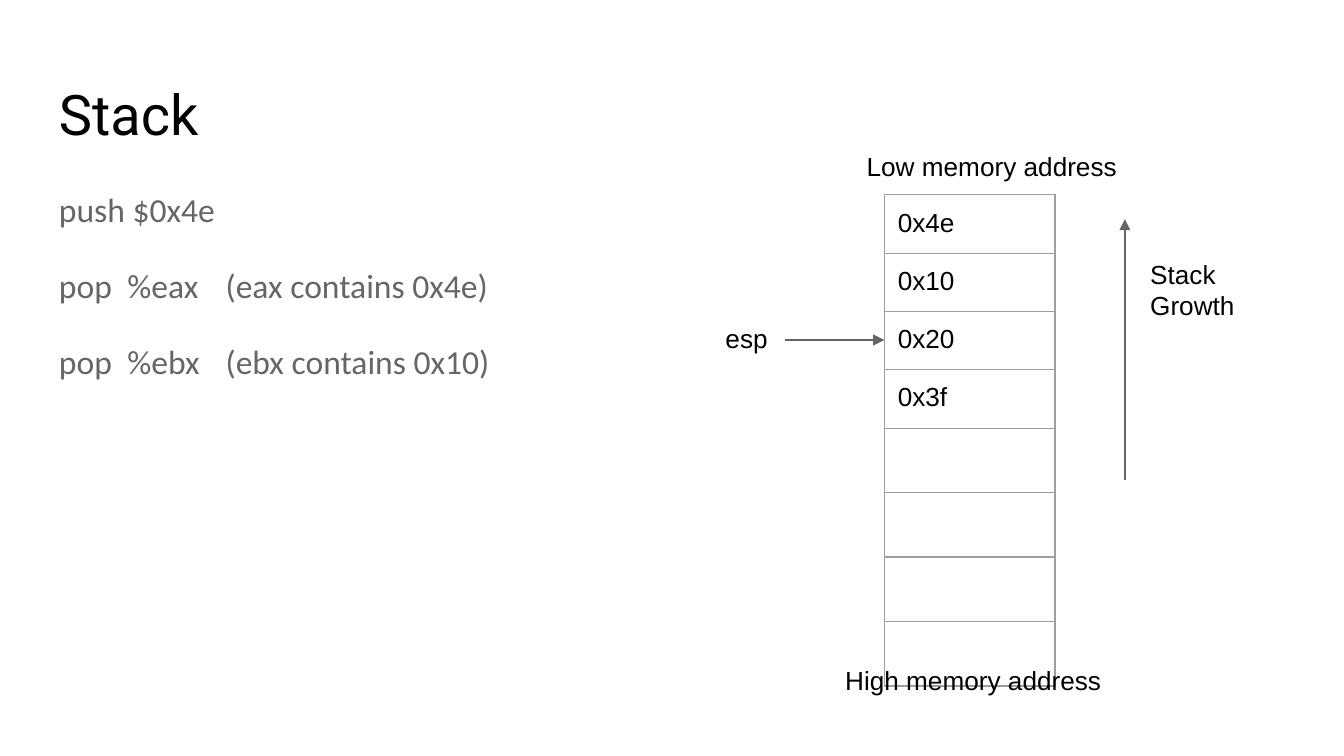
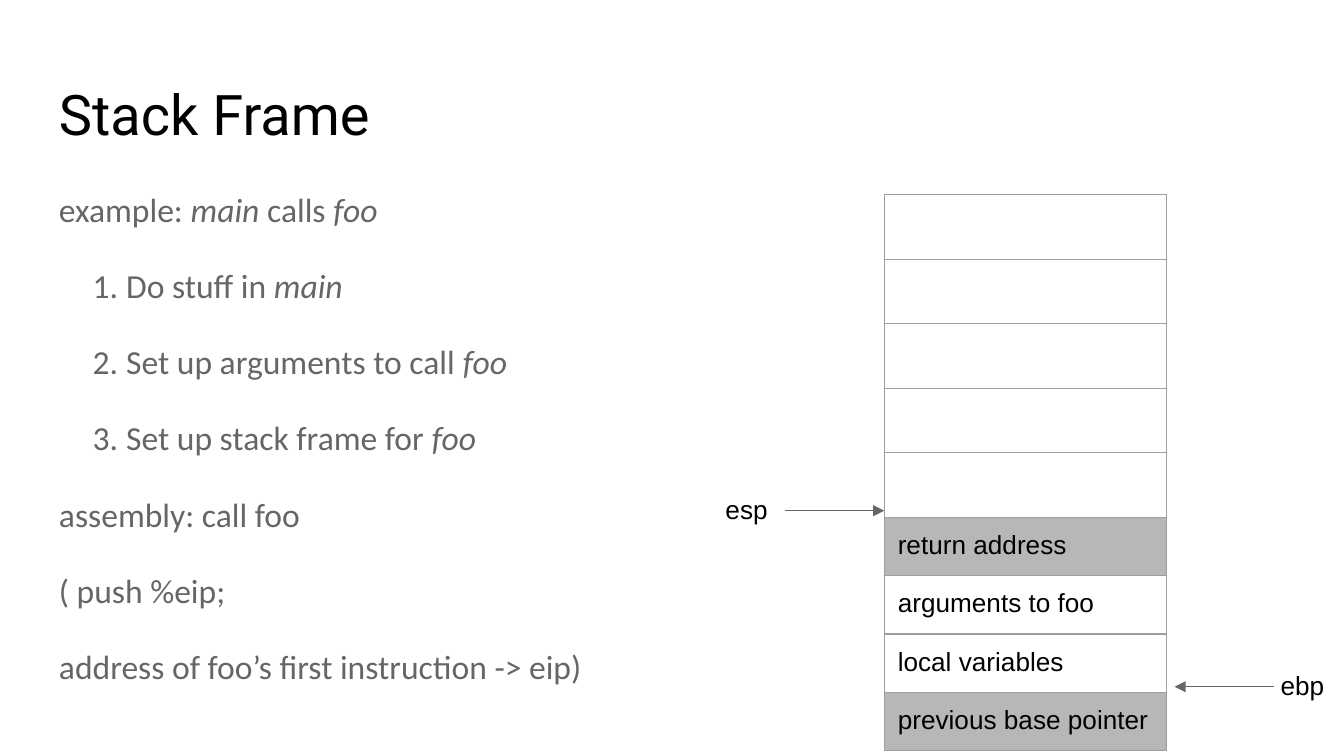
"""Build two slides that show a call stack and a stack frame."""
from dataclasses import dataclass

from lxml.etree import SubElement
from pptx import Presentation
from pptx.dml.color import RGBColor
from pptx.enum.shapes import MSO_CONNECTOR
from pptx.enum.text import MSO_ANCHOR
from pptx.oxml.ns import qn
from pptx.slide import Slide
from pptx.util import Emu, Inches, Pt

WIDTH, HEIGHT = Inches(10), Inches(5.625)
UNIT = WIDTH // 100
BLACK, GRAY, BORDER, SHADE, WHITE = "000000", "666666", "9E9E9E", "B7B7B7", "FFFFFF"
INSET = Inches(0.1)
STACK_LEFT, STACK_TOP = 65.8, 14.5
FILLED_ROW, EMPTY_ROW = 4.2, 4.8
LABEL_RISE = 2.3
CODE_TABS = (5.1, 12.4)


@dataclass(frozen=True)
class Style:
    """A font with its size and colour."""
    font: str
    size: int
    color: str


TITLE = Style("Roboto", 30, BLACK)
BODY = Style("Calibri", 18, GRAY)
LABEL = Style("Arial", 14, BLACK)


@dataclass(frozen=True)
class Box:
    """A place on the grid, in columns and rows."""
    left: float
    top: float
    width: float
    height: float


TITLE_BOX = Box(3.4, 4.9, 93.2, 6.3)
BODY_BOX = Box(3.4, 12.6, 93.2, 37.4)


@dataclass(frozen=True)
class Line:
    """A body line whose every second piece is italic."""
    pieces: tuple[str, ...]
    numbered: bool = False


@dataclass(frozen=True)
class StackCell:
    """One cell of the stack."""
    text: str = ""
    fill: str | None = None


@dataclass(frozen=True)
class Label:
    """A short text beside the stack."""
    text: str
    box: Box


@dataclass(frozen=True)
class Arrow:
    """An arrow from a start to a tip, in columns and rows."""
    start: tuple[float, float]
    tip: tuple[float, float]


@dataclass(frozen=True)
class Register:
    """A register name with an arrow to the stack."""
    name: str
    label_left: float
    start: float
    tip: float
    row: float


def esp(row: float) -> Register:
    """Return the stack pointer at a row."""
    return Register("esp", 53, 58.4, STACK_LEFT, row)


@dataclass(frozen=True)
class StackSlide:
    """Everything that one slide shows."""
    title: str
    lines: tuple[Line, ...]
    stack_width: float
    cells: tuple[StackCell, ...]
    registers: tuple[Register, ...]
    arrows: tuple[Arrow, ...] = ()
    labels: tuple[Label, ...] = ()


SLIDES = (
    StackSlide(
        "Stack",
        (Line(("push $0x4e",)),
         Line(("pop\t%eax\t(eax contains 0x4e)",)),
         Line(("pop\t%ebx\t(ebx contains 0x10)",))),
        12.7,
        tuple(StackCell(value) for value in ("0x4e", "0x10", "0x20", "0x3f"))
        + (StackCell(),) * 4,
        (esp(25.3),),
        (Arrow((83.7, 35.7), (83.7, 16.3)),),
        (Label("Stack\nGrowth", Box(84.6, 18.2, 12.7, 6.1)),
         Label("Low memory address", Box(63.5, 10.2, 22.7, 4.3)),
         Label("High memory address", Box(61.9, 48.4, 22.7, 8))),
    ),
    StackSlide(
        "Stack Frame",
        (Line(("example: ", "main", " calls ", "foo")),
         Line(("Do stuff in ", "main"), True),
         Line(("Set up arguments to call ", "foo"), True),
         Line(("Set up stack frame for ", "foo"), True),
         Line(("assembly: call foo",)),
         Line(("( push %eip;",)),
         Line(("address of foo’s first instruction -> eip)",))),
        21,
        (StackCell(),) * 4
        + (StackCell(fill=WHITE),
           StackCell("return address", SHADE),
           StackCell("arguments to foo"),
           StackCell("local variables"),
           StackCell("previous base pointer", SHADE)),
        (Register("ebp", 94.3, 94.8, 87.4, 51.1), esp(38)),
    ),
)


def grid(count: float) -> Emu:
    """Turn a number of columns or rows into a length."""
    return Emu(round(count * UNIT))


def rgb(color: str) -> RGBColor:
    """Turn a hex string into a colour."""
    return RGBColor.from_string(color)


def format_text(text_frame, style: Style) -> None:
    """Give every run of a text the same style."""
    for paragraph in text_frame.paragraphs:
        for run in paragraph.runs:
            run.font.name = style.font
            run.font.size = Pt(style.size)
            run.font.color.rgb = rgb(style.color)


def add_text_frame(slide: Slide, box: Box):
    """Add an empty wrapping text box and return its text frame."""
    shape = slide.shapes.add_textbox(*map(grid, (box.left, box.top, box.width, box.height)))
    text_frame = shape.text_frame
    text_frame.word_wrap = True
    text_frame.margin_left = text_frame.margin_right = INSET
    text_frame.margin_top = text_frame.margin_bottom = INSET
    return text_frame


def add_text(slide: Slide, text: str, box: Box, style: Style) -> None:
    """Add a text box in one style."""
    text_frame = add_text_frame(slide, box)
    text_frame.text = text
    format_text(text_frame, style)


def number_paragraph(paragraph) -> None:
    """Make a paragraph an item of a numbered list."""
    properties = paragraph._p.get_or_add_pPr()
    properties.set("marL", str(grid(5)))
    properties.set("indent", str(-grid(2.5)))
    color = SubElement(properties, qn("a:buClr"))
    SubElement(color, qn("a:srgbClr"), val=BODY.color)
    SubElement(properties, qn("a:buFont"), typeface=BODY.font)
    SubElement(properties, qn("a:buAutoNum"), type="arabicPeriod")


def set_tabs(paragraph) -> None:
    """Line up the parts of an instruction."""
    tabs = SubElement(paragraph._p.get_or_add_pPr(), qn("a:tabLst"))
    for position in CODE_TABS:
        SubElement(tabs, qn("a:tab"), pos=str(grid(position)), algn="l")


def add_body(slide: Slide, lines: tuple[Line, ...]) -> None:
    """Add the body text."""
    text_frame = add_text_frame(slide, BODY_BOX)
    for index, line in enumerate(lines):
        paragraph = text_frame.add_paragraph() if index else text_frame.paragraphs[0]
        paragraph.line_spacing = 1.15
        paragraph.space_after = Pt(16)
        if line.numbered:
            number_paragraph(paragraph)
        if "\t" in line.pieces[0]:
            set_tabs(paragraph)
        for position, piece in enumerate(line.pieces):
            run = paragraph.add_run()
            run.text = piece
            run.font.italic = position % 2 == 1
    format_text(text_frame, BODY)


def add_borders(cell) -> None:
    """Draw a thin line on each side of a cell."""
    properties = cell._tc.get_or_add_tcPr()
    for side in ("L", "R", "T", "B"):
        line = SubElement(properties, qn(f"a:ln{side}"), w=str(Pt(0.75)))
        fill = SubElement(line, qn("a:solidFill"))
        SubElement(fill, qn("a:srgbClr"), val=BORDER)


def add_stack(slide: Slide, width: float, cells: tuple[StackCell, ...]) -> None:
    """Add the stack as a table with one column."""
    heights = [FILLED_ROW if item.text else EMPTY_ROW for item in cells]
    frame = slide.shapes.add_table(
        len(cells), 1, *map(grid, (STACK_LEFT, STACK_TOP, width, sum(heights))))
    table = frame.table
    table.first_row = table.horz_banding = False
    for row, height, item in zip(table.rows, heights, cells):
        row.height = grid(height)
        cell = row.cells[0]
        add_borders(cell)
        if item.fill:
            cell.fill.solid()
            cell.fill.fore_color.rgb = rgb(item.fill)
        else:
            cell.fill.background()
        if item.text:
            cell.margin_left = cell.margin_right = INSET
            cell.margin_top = cell.margin_bottom = INSET
            cell.vertical_anchor = MSO_ANCHOR.TOP
            cell.text_frame.text = item.text
            format_text(cell.text_frame, LABEL)


def add_arrow(slide: Slide, arrow: Arrow) -> None:
    """Add a straight arrow."""
    connector = slide.shapes.add_connector(
        MSO_CONNECTOR.STRAIGHT, *map(grid, arrow.start + arrow.tip))
    connector.line.color.rgb = rgb(GRAY)
    connector.line.width = Pt(0.75)
    SubElement(connector.line._get_or_add_ln(), qn("a:tailEnd"), type="triangle")
    SubElement(connector._element.spPr, qn("a:effectLst"))


def add_register(slide: Slide, register: Register) -> None:
    """Add a register name and its arrow."""
    add_arrow(slide, Arrow((register.start, register.row), (register.tip, register.row)))
    box = Box(register.label_left, register.row - LABEL_RISE, 11.3, 4.6)
    add_text(slide, register.name, box, LABEL)


def add_stack_slide(presentation, content: StackSlide) -> None:
    """Add one slide with its text, stack and arrows."""
    slide = presentation.slides.add_slide(presentation.slide_layouts[6])
    add_text(slide, content.title, TITLE_BOX, TITLE)
    add_body(slide, content.lines)
    add_stack(slide, content.stack_width, content.cells)
    for register in content.registers:
        add_register(slide, register)
    for arrow in content.arrows:
        add_arrow(slide, arrow)
    for label in content.labels:
        add_text(slide, label.text, label.box, LABEL)


def main() -> None:
    """Build and save the presentation."""
    presentation = Presentation()
    presentation.slide_width, presentation.slide_height = WIDTH, HEIGHT
    for content in SLIDES:
        add_stack_slide(presentation, content)
    presentation.save("out.pptx")


if __name__ == "__main__":
    main()
